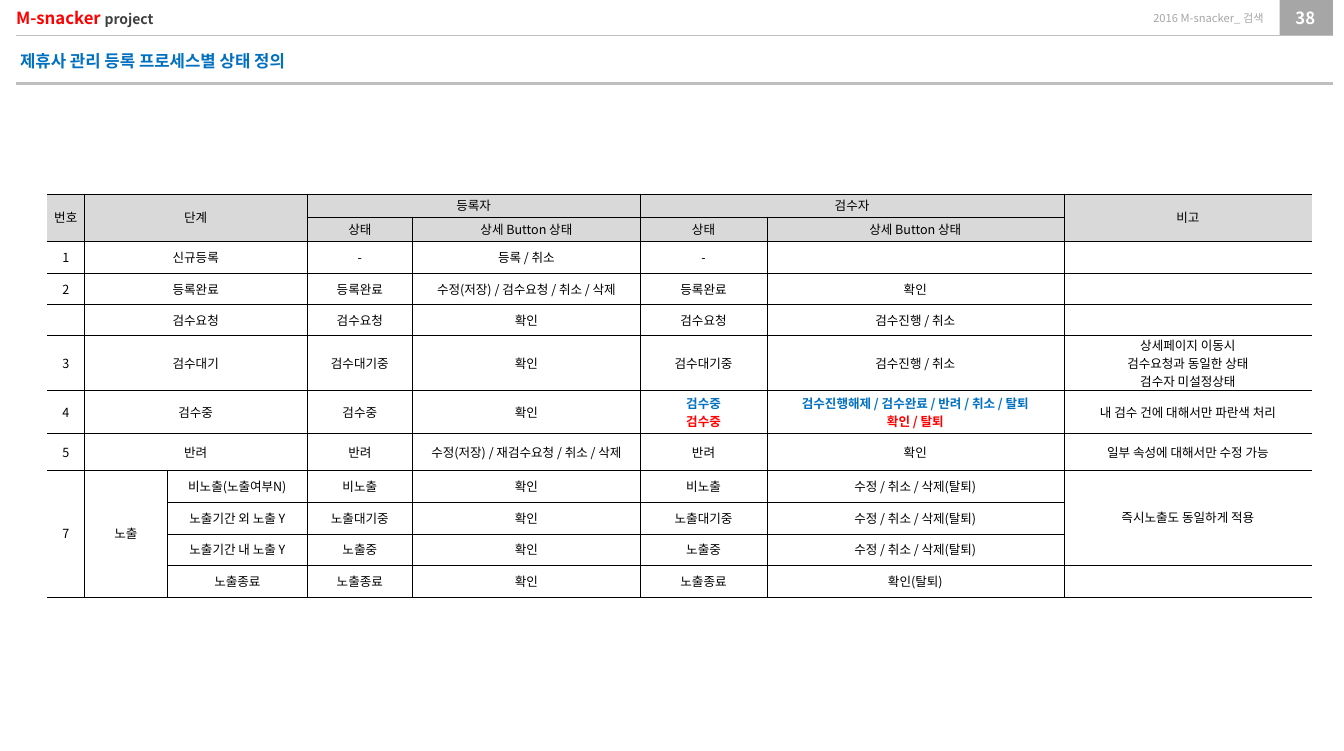
from lxml import etree
from pptx import Presentation, util as u
from pptx.dml.color import RGBColor
from pptx.enum import shapes, text
from pptx.oxml import ns

THEME = {
    "font": "Noto Sans CJK KR",
    "black": "000000", "white": "FFFFFF", "blue": "0070C0", "red": "FF0000",
    "dark": "404040", "muted": "A6A6A6", "rule": "BFBFBF", "header": "D9D9D9",
    "title": 12, "project": 10, "cell": 9, "caption": 8, "hairline": 0.25, "thick": 2.25,
}

LABELS = [
    ((12.75, 0, 0.51, 0.35), "CENTER", (0, 0), [("38", "title", "white", True)]),
    ((10.32, 0, 2.27, 0.35), "RIGHT", (0, 0), [("2016 M-snacker_ 검색", "caption", "muted", False)]),
    ((0.16, 0, 2.05, 0.35), "LEFT", (0, 0),
     [("M-snacker ", "title", "red", True), ("project", "project", "dark", True)]),
    ((0.08, 0.43, 6.54, 0.36), "LEFT", (0.12, 0.06),
     [("제휴사 관리 등록 프로세스별 상태 정의", "title", "blue", True)]),
]
RULES = [(0.83, "thick"), (0.35, "hairline")]

COLUMNS = [0.37, 0.83, 1.39, 1.05, 2.27, 1.26, 2.96, 2.47]
HEIGHTS = [0.23, 0.24, 0.32, 0.31, 0.31, 0.55, 0.43, 0.36, 0.32, 0.32, 0.31, 0.32]
HEADER_ROWS = 2
ROWS = [
    ["번호", "단계", "", "등록자", "", "검수자", "", "비고"],
    ["", "", "", "상태", "상세 Button 상태", "상태", "상세 Button 상태", ""],
    ["1", "신규등록", "", "-", "등록 / 취소", "-", "", ""],
    ["2", "등록완료", "", "등록완료", "수정(저장) / 검수요청 / 취소 / 삭제", "등록완료", "확인", ""],
    ["", "검수요청", "", "검수요청", "확인", "검수요청", "검수진행 / 취소", ""],
    ["3", "검수대기", "", "검수대기중", "확인", "검수대기중", "검수진행 / 취소",
     "상세페이지 이동시\n검수요청과 동일한 상태\n검수자 미설정상태"],
    ["4", "검수중", "", "검수중", "확인", "검수중\n검수중",
     "검수진행해제 / 검수완료 / 반려 / 취소 / 탈퇴\n확인 / 탈퇴", "내 검수 건에 대해서만 파란색 처리"],
    ["5", "반려", "", "반려", "수정(저장) / 재검수요청 / 취소 / 삭제", "반려", "확인",
     "일부 속성에 대해서만 수정 가능"],
    ["7", "노출", "비노출(노출여부N)", "비노출", "확인", "비노출", "수정 / 취소 / 삭제(탈퇴)",
     "즉시노출도 동일하게 적용"],
    ["", "", "노출기간 외 노출 Y", "노출대기중", "확인", "노출대기중", "수정 / 취소 / 삭제(탈퇴)", ""],
    ["", "", "노출기간 내 노출 Y", "노출중", "확인", "노출중", "수정 / 취소 / 삭제(탈퇴)", ""],
    ["", "", "노출종료", "노출종료", "확인", "노출종료", "확인(탈퇴)", ""],
]
MERGES = [(0, 0, 1, 0), (0, 1, 1, 2), (0, 3, 0, 4), (0, 5, 0, 6), (0, 7, 1, 7),
          (8, 0, 11, 0), (8, 1, 11, 1), (8, 7, 10, 7)]
MERGES += [(row, 1, row, 2) for row in range(2, 8)]
HIGHLIGHTED = {(6, 5), (6, 6)}


def color(name):
    return RGBColor.from_string(THEME[name])


def add_run(paragraph, words, size, ink, bold):
    run = paragraph.add_run()
    run.text = words
    run.font.size = u.Pt(THEME[size])
    run.font.bold = bold
    run.font.color.rgb = color(ink)
    run.font.name = THEME["font"]
    latin = run.font._element.find(ns.qn("a:latin"))
    east_asian = etree.Element(ns.qn("a:ea"), typeface=THEME["font"])
    latin.addnext(east_asian)


def add_label(slide, box, align, insets, runs):
    shape = slide.shapes.add_textbox(*map(u.Inches, box))
    frame = shape.text_frame
    frame.word_wrap = True
    frame.vertical_anchor = text.MSO_ANCHOR.MIDDLE
    frame.margin_left = frame.margin_right = u.Inches(insets[0])
    frame.margin_top = frame.margin_bottom = u.Inches(insets[1])
    paragraph = frame.paragraphs[0]
    paragraph.alignment = text.PP_ALIGN[align]
    for run in runs:
        add_run(paragraph, *run)


def add_rule(slide, top, weight):
    line = slide.shapes.add_connector(
        shapes.MSO_CONNECTOR.STRAIGHT, u.Inches(0.16), u.Inches(top), u.Inches(13.28), u.Inches(top))
    line.line.color.rgb = color("rule")
    line.line.width = u.Pt(THEME[weight])
    etree.SubElement(line._element.spPr, ns.qn("a:effectLst"))


def set_borders(cell, open_sides):
    properties = cell._tc.get_or_add_tcPr()
    for index, side in enumerate("LRTB"):
        border = etree.Element(ns.qn("a:ln" + side), w=str(u.Pt(THEME["hairline"])))
        if side in open_sides:
            etree.SubElement(border, ns.qn("a:noFill"))
        else:
            fill = etree.SubElement(border, ns.qn("a:solidFill"))
            etree.SubElement(fill, ns.qn("a:srgbClr"), val=THEME["black"])
        properties.insert(index, border)


def fill_cell(cell, words, background, highlighted):
    cell.margin_left = cell.margin_right = cell.margin_top = cell.margin_bottom = 0
    cell.vertical_anchor = text.MSO_ANCHOR.MIDDLE
    cell.fill.solid()
    cell.fill.fore_color.rgb = color(background)
    frame = cell.text_frame
    for index, line in enumerate(words.split("\n")):
        paragraph = frame.add_paragraph() if index else frame.paragraphs[0]
        paragraph.alignment = text.PP_ALIGN.CENTER
        if line:
            ink = ("blue", "red")[index] if highlighted else "black"
            add_run(paragraph, line, "cell", ink, highlighted)
        else:
            etree.SubElement(paragraph._p, ns.qn("a:endParaRPr"), sz=str(THEME["cell"] * 100))


def add_status_table(slide):
    table = slide.shapes.add_table(
        len(ROWS), len(COLUMNS), u.Inches(0.47), u.Inches(1.93),
        u.Inches(sum(COLUMNS)), u.Inches(sum(HEIGHTS))).table
    table.first_row = table.horz_banding = False
    for column, width in zip(table.columns, COLUMNS):
        column.width = u.Inches(width)
    for row, height in zip(table.rows, HEIGHTS):
        row.height = u.Inches(height)
    for row, values in enumerate(ROWS):
        for column, words in enumerate(values):
            cell = table.cell(row, column)
            background = "header" if row < HEADER_ROWS else "white"
            fill_cell(cell, words, background, (row, column) in HIGHLIGHTED)
            set_borders(cell, {0: "L", len(COLUMNS) - 1: "R"}.get(column, ""))
    for top, left, bottom, right in MERGES:
        table.cell(top, left).merge(table.cell(bottom, right))


def main():
    presentation = Presentation()
    presentation.slide_width = u.Inches(13.39)
    presentation.slide_height = u.Inches(7.48)
    slide = presentation.slides.add_slide(presentation.slide_layouts[6])
    badge = slide.shapes.add_shape(
        shapes.MSO_SHAPE.RECTANGLE, *map(u.Inches, (12.75, 0, 0.53, 0.35)))
    badge.shadow.inherit = False
    badge.fill.solid()
    badge.fill.fore_color.rgb = color("muted")
    badge.line.fill.background()
    for rule in RULES:
        add_rule(slide, *rule)
    for label in LABELS:
        add_label(slide, *label)
    add_status_table(slide)
    presentation.save("out.pptx")


if __name__ == "__main__":
    main()
